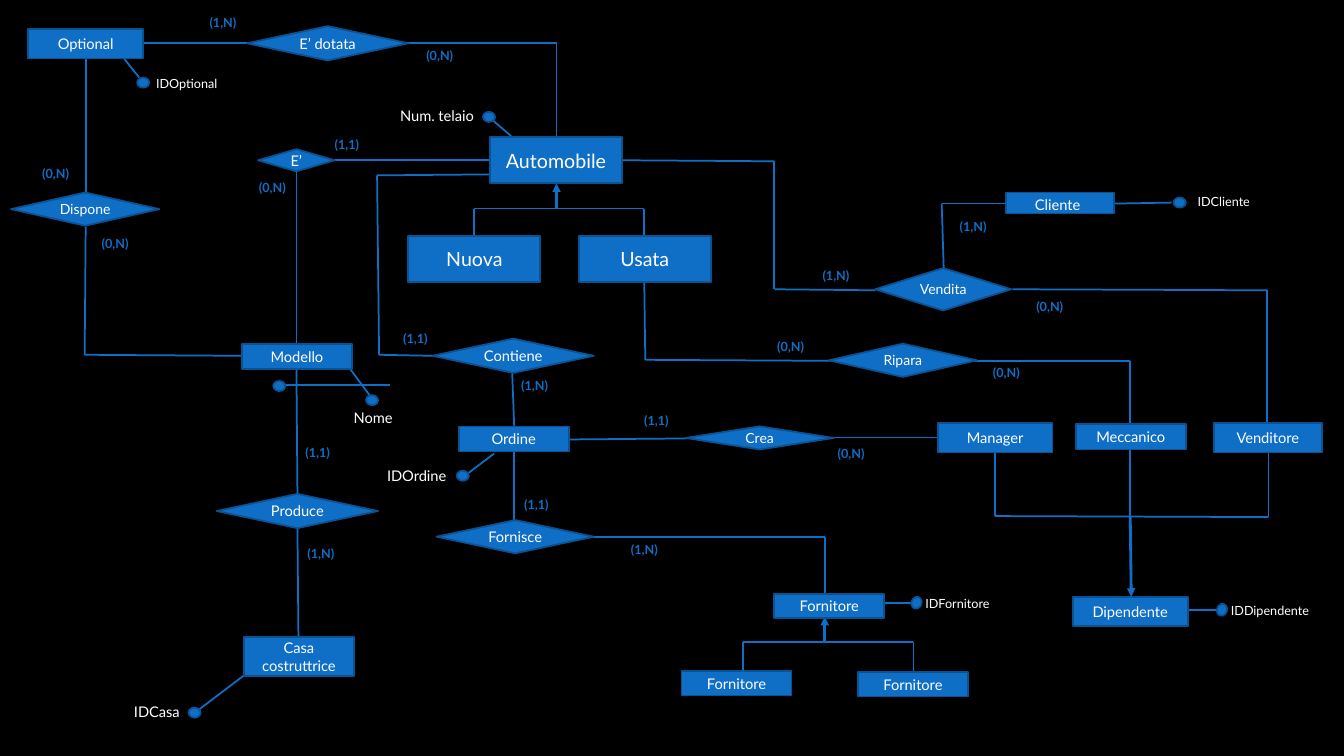
from itertools import pairwise

from lxml import etree
from pptx import Presentation
from pptx.dml.color import RGBColor
from pptx.enum.shapes import MSO_CONNECTOR, MSO_SHAPE
from pptx.enum.text import MSO_ANCHOR, MSO_AUTO_SIZE, PP_ALIGN
from pptx.oxml.ns import qn
from pptx.util import Inches, Pt

STRAIGHT = MSO_CONNECTOR.STRAIGHT
RECTANGLE = MSO_SHAPE.RECTANGLE
DIAMOND = MSO_SHAPE.FLOWCHART_DECISION
DOT = MSO_SHAPE.FLOWCHART_CONNECTOR
MIDDLE = MSO_ANCHOR.MIDDLE
CENTER = PP_ALIGN.CENTER
LEFT = PP_ALIGN.LEFT
GROW = MSO_AUTO_SIZE.SHAPE_TO_FIT_TEXT

COLORS = {"background": "000000", "blue": "0F6FC6", "edge": "0B5292", "text": "FFFFFF"}

ENTITIES = [
    ("Automobile", 4.86, 1.36, 1.31, 0.46, 14),
    ("Nuova", 4.05, 2.34, 1.31, 0.46, 14),
    ("Usata", 5.74, 2.34, 1.31, 0.46, 14),
    ("Cliente", 9.98, 1.91, 1.07, 0.21, 10.5),
    ("Venditore", 12.04, 4.2, 1.07, 0.29, 10.5),
    ("Manager", 9.3, 4.2, 1.14, 0.29, 10.5),
    ("Meccanico", 10.67, 4.21, 1.09, 0.25, 10.5),
    ("Dipendente", 10.64, 5.92, 1.14, 0.29, 10.5),
    ("Optional", 0.28, 0.29, 1.14, 0.29, 10.5),
    ("Modello", 2.4, 3.41, 1.09, 0.25, 10.5),
    ("Casa costruttrice", 2.42, 6.32, 1.09, 0.39, 10.5),
    ("Ordine", 4.55, 4.23, 1.09, 0.25, 10.5),
    ("Fornitore", 7.68, 5.89, 1.09, 0.24, 10.5),
    ("Fornitore", 6.76, 6.66, 1.09, 0.24, 10.5),
    ("Fornitore", 8.51, 6.67, 1.09, 0.24, 10.5),
]
RELATIONSHIPS = [
    ("E’ dotata", 2.45, 0.26, 1.6, 0.34, 10.5),
    ("E’", 2.56, 1.48, 0.76, 0.22, 10.5),
    ("Dispone", 0.11, 1.91, 1.47, 0.33, 10),
    ("Produce", 2.15, 4.9, 1.6, 0.34, 10.5),
    ("Contiene", 4.29, 3.36, 1.6, 0.34, 10.5),
    ("Fornisce", 4.33, 5.16, 1.56, 0.33, 10.5),
    ("Crea", 6.8, 4.23, 1.47, 0.23, 10),
    ("Ripara", 8.22, 3.41, 1.47, 0.33, 10),
    ("Vendita", 8.68, 2.66, 1.35, 0.42, 10),
]
PATHS = [
    [(1.43, 0.43), (2.45, 0.43)],
    [(3.98, 0.43), (5.52, 0.43), (5.52, 1.35)],
    [(0.85, 0.57), (0.85, 1.91)],
    [(0.85, 2.25), (0.84, 3.52), (2.4, 3.53)],
    [(4.86, 1.59), (3.32, 1.59)],
    [(2.94, 1.7), (2.94, 3.41)],
    [(2.94, 3.65), (2.95, 4.9)],
    [(2.95, 5.24), (2.96, 6.32)],
    [(4.86, 1.73), (3.74, 1.74), (3.76, 3.52), (4.29, 3.53)],
    [(5.08, 3.7), (5.1, 4.23)],
    [(5.1, 4.48), (5.1, 5.16)],
    [(5.88, 5.33), (8.18, 5.33), (8.18, 5.89)],
    [(5.64, 4.36), (6.8, 4.35)],
    [(8.27, 4.34), (9.3, 4.34)],
    [(6.17, 1.59), (7.68, 1.6), (7.68, 2.87), (8.68, 2.88)],
    [(9.98, 2.02), (9.34, 2.02), (9.36, 2.66)],
    [(10.04, 2.87), (12.57, 2.88), (12.57, 4.2)],
    [(6.39, 2.8), (6.4, 3.57), (8.27, 3.58)],
    [(9.65, 3.58), (11.21, 3.58), (11.21, 4.21)],
    [(4.7, 2.34), (4.7, 2.07), (6.39, 2.07), (6.39, 2.34)],
    [(7.37, 6.66), (7.37, 6.37), (9.06, 6.37), (9.06, 6.67)],
    [(9.87, 4.49), (9.87, 5.12), (12.58, 5.13), (12.58, 4.49)],
    [(11.21, 4.46), (11.21, 5.12)],
    [(11.62, 2.01), (11.05, 2.02)],
    [(4.86, 1.17), (5.07, 1.35)],
    [(1.38, 0.77), (1.23, 0.58)],
    [(8.75, 5.98), (9.06, 5.98)],
    [(11.77, 6.05), (12.09, 6.05)],
    [(3.45, 3.63), (3.68, 3.94)],
    [(2.81, 3.82), (3.87, 3.82)],
    [(2.46, 6.67), (1.96, 7.05)],
    [(4.9, 4.5), (4.61, 4.72)],
]
ARROWS = [
    [(5.52, 2.06), (5.52, 1.82)],
    [(8.18, 6.36), (8.18, 6.12)],
    [(11.21, 5.13), (11.22, 5.92)],
]
DOTS = [
    (11.64, 1.96, 0), (1.36, 0.77, 0), (4.79, 1.11, 3.5), (3.63, 3.92, 3.5),
    (2.71, 3.78, 3.5), (1.87, 7.02, 3.5), (4.53, 4.67, 3.5),
    (9.03, 5.93, 288), (12.06, 6, 288),
]
ATTRIBUTES = [
    ("IDCliente", 11.78, 1.87, 0.74, 9),
    ("IDOptional", 1.45, 0.7, 0.83, 9),
    ("IDFornitore", 9.08, 5.86, 0.86, 9),
    ("IDDipendente", 12.11, 5.93, 0.98, 9),
    ("Num. telaio", 3.87, 1.01, 0.95, 10.5),
    ("Nome", 3.41, 4.01, 0.59, 10.5),
    ("IDCasa", 1.23, 6.92, 0.68, 10.5),
    ("IDOrdine", 3.74, 4.58, 0.82, 10.5),
]
CARDINALITIES = {
    "(1,N)": (0.5, [(9.42, 2.12), (1.98, 0.1), (2.95, 5.37), (6.16, 5.33),
                    (5.07, 3.7), (8.06, 2.61)]),
    "(0,N)": (0.5, [(0.91, 2.29), (10.18, 2.92), (2.47, 1.74), (0.32, 1.6),
                    (4.13, 0.43), (8.21, 4.37), (9.75, 3.57), (7.61, 3.31)]),
    "(1,1)": (0.46, [(3.22, 1.31), (2.93, 4.36), (5.1, 4.88), (6.29, 4.05),
                     (3.9, 3.23)]),
}


def rgb(name):
    return RGBColor.from_string(COLORS[name])


def set_all(target, values):
    for name, value in values.items():
        setattr(target, name, value)


def add_span(para, text, size, color="text", bold=False):
    span = para.add_run()
    span.text = text
    set_all(span.font, {"name": "Lato", "size": Pt(size), "bold": bold})
    span.font.color.rgb = rgb(color)


def add_path(page, points, width=1.25, arrow=False):
    for start, end in pairwise(points):
        line = page.shapes.add_connector(STRAIGHT, *map(Inches, start + end))
        line.line.color.rgb = rgb("blue")
        line.line.width = Pt(width)
        if arrow:
            etree.SubElement(line.line._get_or_add_ln(), qn("a:tailEnd"), type="triangle")
        etree.SubElement(line._element.spPr, qn("a:effectLst"))


def add_node(page, kind, left, top, width, height):
    node = page.shapes.add_shape(kind, *map(Inches, (left, top, width, height)))
    node.shadow.inherit = False
    node.fill.solid()
    node.fill.fore_color.rgb = rgb("blue")
    node.line.color.rgb = rgb("edge")
    node.line.width = Pt(1.25)
    return node


def add_named_node(page, kind, name, left, top, width, height, size):
    frame = add_node(page, kind, left, top, width, height).text_frame
    set_all(frame, {"word_wrap": True, "vertical_anchor": MIDDLE})
    if kind == DIAMOND:
        set_all(frame, {"margin_left": 0, "margin_right": 0})
    para = frame.paragraphs[0]
    para.alignment = CENTER
    add_span(para, name, size)
    if name == "Cliente":
        add_span(para, " ", 14)


def add_label(page, text, left, top, width, size, color="text", bold=False):
    height = 0.25 if size == 9 else 0.28
    box = page.shapes.add_textbox(*map(Inches, (left, top, width, height)))
    set_all(box.text_frame, {"word_wrap": False, "auto_size": GROW})
    para = box.text_frame.paragraphs[0]
    para.alignment = LEFT
    add_span(para, text, size, color, bold)


def main():
    deck = Presentation()
    set_all(deck, {"slide_width": Inches(13.33), "slide_height": Inches(7.5)})
    page = deck.slides.add_slide(deck.slide_layouts[6])
    page.background.fill.solid()
    page.background.fill.fore_color.rgb = rgb("background")
    for points in PATHS:
        add_path(page, points)
    for points in ARROWS:
        add_path(page, points, 2, True)
    for kind, nodes in ((RECTANGLE, ENTITIES), (DIAMOND, RELATIONSHIPS)):
        for node in nodes:
            add_named_node(page, kind, *node)
    for left, top, rotation in DOTS:
        add_node(page, DOT, left, top, 0.12, 0.1).rotation = rotation
    for attribute in ATTRIBUTES:
        add_label(page, *attribute)
    for text, (width, places) in CARDINALITIES.items():
        for left, top in places:
            add_label(page, text, left, top, width, 9, "blue", True)
    deck.save("out.pptx")


if __name__ == "__main__":
    main()
